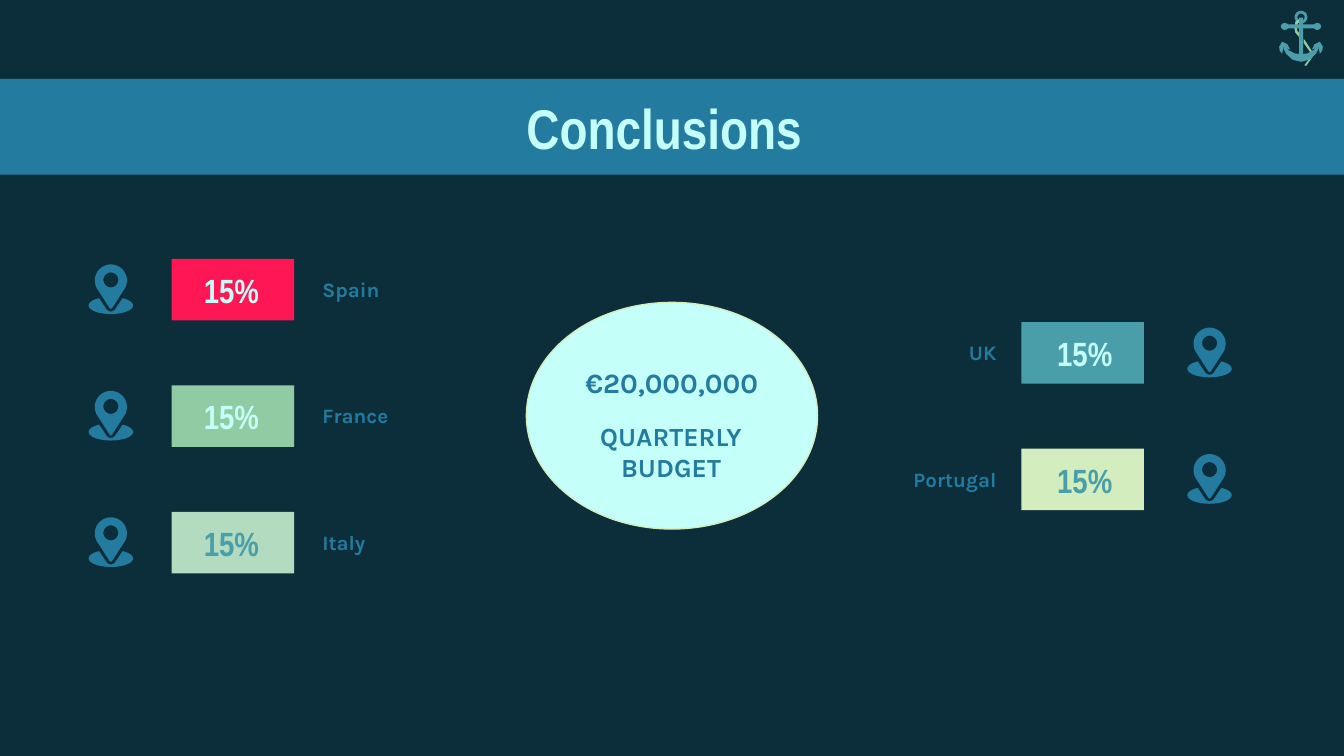
"""Build the conclusions slide: a budget in the middle and its share by country."""
from math import cos, radians, sin

from pptx import Presentation
from pptx.dml.color import RGBColor
from pptx.enum import shapes, text
from pptx.util import Pt

NAVY = RGBColor(0x0C, 0x2E, 0x3A)
BLUE = RGBColor(0x24, 0x7B, 0xA0)
ICE = RGBColor(0xC4, 0xFF, 0xF9)
TEAL = RGBColor(0x4A, 0x9E, 0xAA)
RED = RGBColor(0xFF, 0x16, 0x54)
GREEN = RGBColor(0x90, 0xCB, 0xA3)
MINT = RGBColor(0xB2, 0xDB, 0xBF)
LIME = RGBColor(0xD3, 0xED, 0xBE)

HEAD, BODY = "Arial Narrow", "Karla"
RECT, OVAL = shapes.MSO_SHAPE.RECTANGLE, shapes.MSO_SHAPE.OVAL
LEFT, MID, RIGHT = text.PP_ALIGN.LEFT, text.PP_ALIGN.CENTER, text.PP_ALIGN.RIGHT
TOP, CORE = text.MSO_ANCHOR.TOP, text.MSO_ANCHOR.MIDDLE

FIRST, STEP = 138.7, 67.75
SHARES = [
    ("Spain", 0, RED, ICE),
    ("France", 1, GREEN, ICE),
    ("Italy", 2, MINT, TEAL),
    ("UK", 0.5, TEAL, ICE),
    ("Portugal", 1.5, LIME, TEAL),
]


def arc(x, y, wide, high, start=0, end=360):
    """Return points along an ellipse, with angles in degrees."""
    turns = [radians(start + (end - start) * i / 40) for i in range(41)]
    return [(x + wide * cos(t), y + high * sin(t)) for t in turns]


def flip(dots):
    """Mirror points about the vertical axis."""
    return [(-x, y) for x, y in dots]


class Deck:
    """Hold the style and the current slide."""

    def __init__(self):
        self.show = Presentation()
        self.show.slide_width, self.show.slide_height = Pt(720), Pt(405)
        self.slide = self.show.slides.add_slide(self.show.slide_layouts[5])
        self.slide.background.fill.solid()
        self.slide.background.fill.fore_color.rgb = NAVY

    def paint(self, item, fill, line=None):
        """Give a shape its fill and line."""
        item.shadow.inherit = False
        item.fill.solid()
        item.fill.fore_color.rgb = fill
        if line:
            item.line.color.rgb = line
            item.line.width = Pt(0.75)
        else:
            item.line.fill.background()

    def shape(self, kind, box, fill, line=None):
        """Add a preset shape."""
        item = self.slide.shapes.add_shape(kind, *map(Pt, box))
        self.paint(item, fill, line)

    def draw(self, fill, *loops, x=0, y=0):
        """Add a freeform made of closed loops, shifted by x and y."""
        pen = None
        for loop in loops:
            dots = [(Pt(x + a), Pt(y + b)) for a, b in loop]
            if pen is None:
                pen = self.slide.shapes.build_freeform(*dots[0])
            else:
                pen.move_to(*dots[0])
            pen.add_line_segments(dots[1:], close=True)
        self.paint(pen.convert_to_shape(), fill)

    def letter(self, item, words, face, size, color, align, anchor):
        """Put one styled paragraph in a shape."""
        frame = item.text_frame
        frame.word_wrap = True
        frame.auto_size = text.MSO_AUTO_SIZE.NONE
        frame.vertical_anchor = anchor
        frame.margin_left = frame.margin_right = Pt(7.2)
        frame.margin_top = frame.margin_bottom = Pt(7.2)
        para = frame.paragraphs[0]
        para.text, para.alignment = words, align
        para.font.name, para.font.size = face, Pt(size)
        para.font.bold, para.font.color.rgb = True, color

    def label(self, words, box, face, size, color, align=MID, anchor=CORE):
        """Add a text box."""
        item = self.slide.shapes.add_textbox(*map(Pt, box))
        self.letter(item, words, face, size, color, align, anchor)

    def title(self, words, box):
        """Fill the title placeholder and bring it above the band."""
        item = self.slide.shapes.title
        item.left, item.top, item.width, item.height = map(Pt, box)
        self.letter(item, words, HEAD, 30, ICE, MID, CORE)
        self.slide.shapes._spTree.append(item._element)

    def pin(self, x, y):
        """Draw a map pin standing on a disc."""
        tip = [(0.7, 23.3), (0, 23.8), (-0.7, 23.3)]
        notch = [(-2.2, 24.2), (-1.2, 25), (0, 25.3), (1.2, 25), (2.2, 24.2)]
        self.draw(BLUE, arc(0, 8.6, 8.6, 8.6, 143, 397) + tip,
                  arc(0, 8.3, 4, 4), x=x, y=y)
        self.draw(BLUE, arc(0, 22, 11.9, 4.6, -58, 238) + notch, x=x, y=y)

    def anchor(self, x, y):
        """Draw an anchor with a rope, centred on x."""
        high = [(-0.8, 4.3), (-3, 5.7), (-3.6, 9.2), (-3.1, 11.7), (-0.8, 14.4),
                (-0.8, 12.2), (-2.1, 10.7), (-2.2, 9), (-1.7, 6.6), (-0.8, 6.4)]
        low = [(1.4, 15.1), (1.4, 17.2), (5, 22.2), (5, 24.4), (4.3, 25.9),
               (1.8, 29.2), (2.8, 29.5), (6.4, 24.4), (5.7, 21.4), (2.1, 15.8)]
        arm = [(0, 27.3), (-4.5, 26.2), (-8, 23), (-9.4, 20.2), (-9.4, 18.2),
               (-6.5, 21.2), (-3.5, 22.8), (0, 23.2)]
        fluke = [(-10.1, 16.5), (-11.7, 19.2), (-11.4, 21.4), (-10.1, 23),
                 (-9.4, 19.4), (-5.8, 20.8), (-7.2, 18)]
        self.draw(TEAL, arc(0, 3.4, 3.4, 3.4), arc(0, 3.4, 1.9, 1.9), x=x, y=y)
        for rope in (high, low):
            self.draw(GREEN, rope, x=x, y=y)
        for part in (arm, fluke):
            self.draw(TEAL, part, x=x, y=y)
            self.draw(TEAL, flip(part), x=x, y=y)
        self.shape(RECT, (x - 1, y + 3.6, 2.2, 21), TEAL)
        self.shape(RECT, (x - 8.7, y + 7.3, 17.4, 2.1), TEAL)
        for side in (-8.7, 8.7):
            self.shape(OVAL, (x + side - 2.1, y + 6.5, 4.2, 3.7), TEAL)

    def share(self, name, row, fill, ink):
        """Draw one country: pin, percentage and name."""
        y = FIRST + row * STEP
        if row % 1:
            pin, card, num, box, align = 648, 547.2, 556.6, (466, 75), RIGHT
        else:
            pin, card, num, box, align = 59.4, 92, 99.4, (165.6, 66), LEFT
        self.pin(pin, y + 3)
        self.shape(RECT, (card, y, 65.6, 33), fill)
        self.label("15%", (num, y + 0.4, 49, 32.4), HEAD, 18, ink)
        self.label(name, (box[0], y + 1.2, box[1], 30.2), BODY, 11, BLUE, align)


def main():
    """Lay out the slide and save it."""
    deck = Deck()
    deck.shape(RECT, (0, 42.2, 720, 51.4), BLUE)
    deck.title("Conclusions ", (51.8, 42.2, 615, 51.4))
    deck.anchor(697, 5.8)
    for item in SHARES:
        deck.share(*item)
    deck.shape(OVAL, (282, 162, 156, 121.4), ICE, LIME)
    deck.label("€20,000,000", (305.2, 188.8, 109.4, 32.4), BODY, 15, BLUE, anchor=TOP)
    deck.label("QUARTERLY BUDGET", (304.8, 218, 109.4, 65.4), BODY, 14, BLUE, anchor=TOP)
    deck.show.save("out.pptx")


if __name__ == "__main__":
    main()
